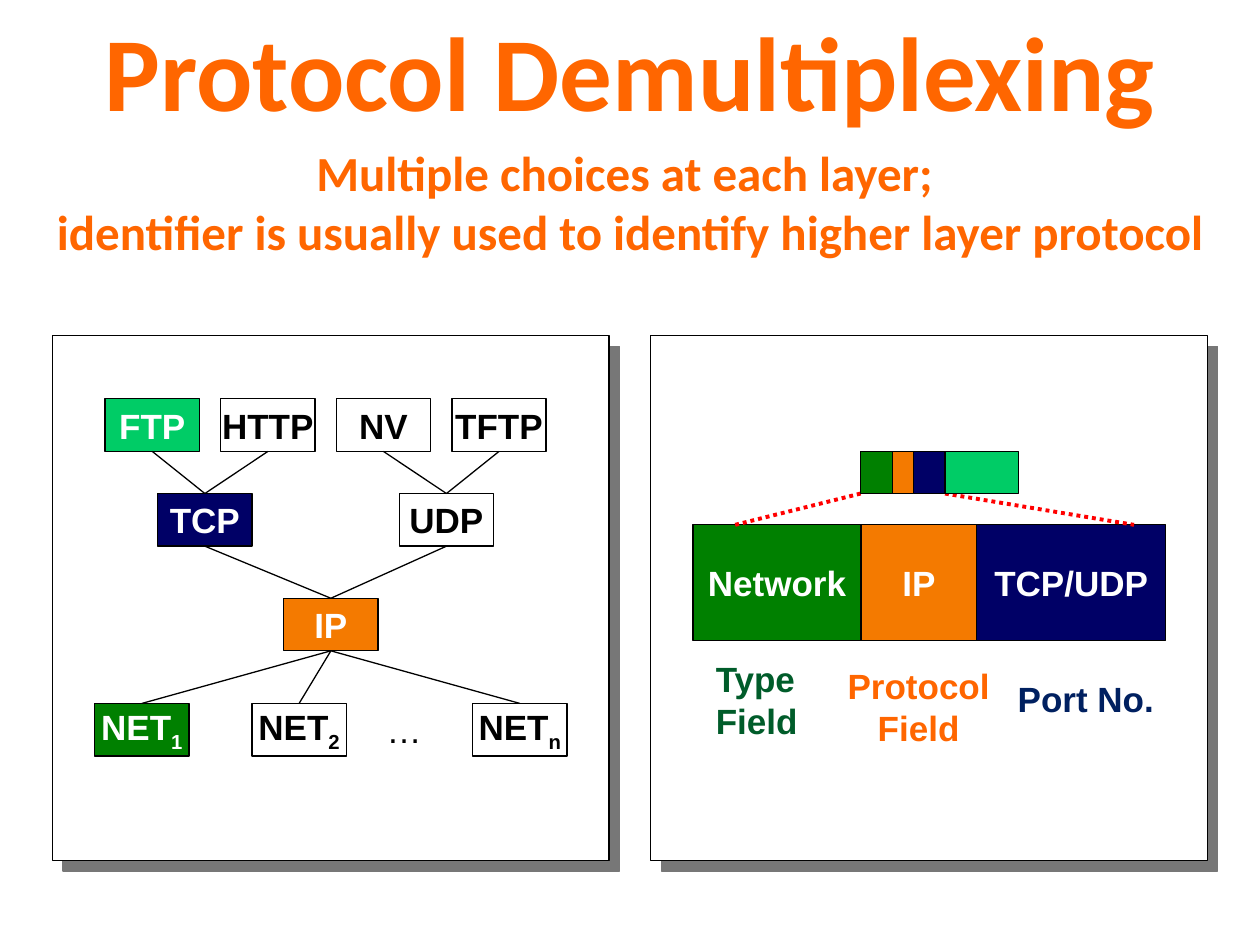
from dataclasses import dataclass

from lxml.etree import SubElement
from pptx import Presentation
from pptx.dml.color import RGBColor
from pptx.enum.dml import MSO_LINE_DASH_STYLE as Dash
from pptx.enum.shapes import MSO_CONNECTOR as Connector, MSO_SHAPE as Shape
from pptx.enum.text import MSO_ANCHOR as Anchor, PP_ALIGN as Align
from pptx.oxml.ns import qn
from pptx.util import Cm, Pt


@dataclass(frozen=True)
class Theme:
    heading_font: str = "Calibri"
    body_font: str = "Arial"
    title_size: float = 60
    subtitle_size: float = 28
    label_size: float = 20
    thin: float = 0.75
    thick: float = 2.25
    black: str = "000000"
    white: str = "FFFFFF"
    heading: str = "FF6600"
    application: str = "00CC66"
    transport: str = "000066"
    internet: str = "F47A00"
    network: str = "008000"
    type_label: str = "005C2A"
    port_label: str = "002060"
    zoom: str = "FF0000"
    shadow: str = "777777"


THEME = Theme()


@dataclass(frozen=True)
class Box:
    left: float
    top: float
    width: float
    height: float

    def inner(self, left, top, width, height):
        return Box(self.left + left, self.top + top, width, height)

    @property
    def lengths(self):
        return Cm(self.left), Cm(self.top), Cm(self.width), Cm(self.height)

    @property
    def top_center(self):
        return self.left + self.width / 2, self.top

    @property
    def bottom_center(self):
        return self.left + self.width / 2, self.top + self.height


def color(value):
    return RGBColor.from_string(value)


def add_run(paragraph, text, size, font, ink, bold=True, subscript=False):
    run = paragraph.add_run()
    run.text = text
    run.font.size, run.font.name, run.font.bold = Pt(size), font, bold
    run.font.color.rgb = color(ink)
    if subscript:
        run._r.get_or_add_rPr().set("baseline", "-25000")


def add_text(slide, box, lines, size, ink, font=THEME.body_font, align=Align.CENTER):
    frame = slide.shapes.add_textbox(*box.lengths).text_frame
    frame.word_wrap = True
    for index, line in enumerate(lines):
        paragraph = frame.add_paragraph() if index else frame.paragraphs[0]
        paragraph.alignment = align
        add_run(paragraph, line, size, font, ink)


def add_block(slide, box, fill, text="", index="", outlined=True, bold=True):
    """Add a rectangle with an optional label and subscript index."""
    block = slide.shapes.add_shape(Shape.RECTANGLE, *box.lengths)
    block.shadow.inherit = False
    block.fill.solid()
    block.fill.fore_color.rgb = color(fill)
    if outlined:
        block.line.color.rgb = color(THEME.black)
        block.line.width = Pt(THEME.thin)
    else:
        block.line.fill.background()
    if text:
        frame = block.text_frame
        frame.word_wrap = False
        frame.vertical_anchor = Anchor.MIDDLE
        paragraph = frame.paragraphs[0]
        paragraph.alignment = Align.CENTER
        ink = THEME.black if fill == THEME.white else THEME.white
        add_run(paragraph, text, THEME.label_size, THEME.body_font, ink, bold)
        if index:
            add_run(paragraph, index, THEME.label_size, THEME.body_font, ink, bold, True)
    return block


def add_line(slide, start, end, ink=THEME.black, width=THEME.thin, dash=None):
    line = slide.shapes.add_connector(Connector.STRAIGHT, *map(Cm, start + end))
    line.line.color.rgb = color(ink)
    line.line.width = Pt(width)
    if dash:
        line.line.dash_style = dash
    SubElement(line._element.spPr, qn("a:effectLst"))


def add_panel(slide, box):
    """Add a white panel with a hard shadow to its lower right."""
    panel = add_block(slide, box, THEME.white)
    effects = panel._element.spPr.find(qn("a:effectLst"))
    shadow = SubElement(effects, qn("a:outerShdw"), blurRad="0", dist=str(Pt(8.5)),
                        dir="2700000", algn="ctr", rotWithShape="0")
    SubElement(shadow, qn("a:srgbClr"), val=THEME.shadow)


def add_heading(slide, box):
    add_text(slide, box.inner(0, 0, box.width, 2.82), ["Protocol Demultiplexing"],
             THEME.title_size, THEME.heading, THEME.heading_font)
    add_text(slide, box.inner(0, 2.75, box.width, 2.65),
             ["Multiple choices at each layer; ",
              "identifier is usually used to identify higher layer protocol"],
             THEME.subtitle_size, THEME.heading, THEME.heading_font)


def add_protocol_graph(slide, panel):
    add_panel(slide, panel)
    plain = THEME.white
    applications = [("FTP", THEME.application), ("HTTP", plain), ("NV", plain), ("TFTP", plain)]
    nodes = [(1.06 + 2.33 * column, 1.27, name, "", fill)
             for column, (name, fill) in enumerate(applications)]
    nodes += [
        (2.12, 3.18, "TCP", "", THEME.transport),
        (6.99, 3.18, "UDP", "", plain),
        (4.66, 5.29, "IP", "", THEME.internet),
        (0.85, 7.41, "NET", "1", THEME.network),
        (4.02, 7.41, "NET", "2", plain),
        (8.47, 7.41, "NET", "n", plain),
    ]
    boxes = {}
    for left, top, name, index, fill in nodes:
        box = panel.inner(left, top, 1.9, 1.06)
        boxes[name + index] = box
        add_block(slide, box, fill, name, index)
    add_block(slide, panel.inner(6.14, 7.41, 1.9, 1.06), plain, "…",
              outlined=False, bold=False)

    links = {"TCP": ["FTP", "HTTP"], "UDP": ["NV", "TFTP"], "IP": ["TCP", "UDP"],
             "NET1": ["IP"], "NET2": ["IP"], "NETn": ["IP"]}
    for lower, uppers in links.items():
        for upper in uppers:
            add_line(slide, boxes[upper].bottom_center, boxes[lower].top_center)


def add_strip(slide, box, fields):
    """Fill the box from left to right with (width, fill, text) fields."""
    left = 0
    for width, fill, text in fields:
        add_block(slide, box.inner(left, 0, width, box.height), fill, text)
        left += width


def add_packet_headers(slide, panel):
    add_panel(slide, panel)
    packet = panel.inner(4.23, 2.33, 3.18, 0.85)
    headers = panel.inner(0.85, 3.81, 9.53, 2.33)
    add_strip(slide, headers, [(3.39, THEME.network, "Network"),
                               (2.33, THEME.internet, "IP"),
                               (3.81, THEME.transport, "TCP/UDP")])
    packet_bottom = packet.top + packet.height
    for start, end in [(0, 0.85), (1.7, 8.89)]:
        add_line(slide, (packet.left + start, packet_bottom),
                 (headers.left + end, headers.top), THEME.zoom, THEME.thick, Dash.ROUND_DOT)
    add_strip(slide, packet, [(0.64, THEME.network, ""), (0.42, THEME.internet, ""),
                              (0.64, THEME.transport, ""), (1.48, THEME.application, "")])

    labels = [
        ("Type Field", 1.06, 6.35, 2.96, 1.96, THEME.type_label, Align.LEFT),
        ("Protocol Field", 3.39, 6.51, 4.02, 1.96, THEME.heading, Align.CENTER),
        ("Port No.", 6.74, 6.77, 4.06, 1.12, THEME.port_label, Align.CENTER),
    ]
    for text, left, top, width, height, ink, align in labels:
        add_text(slide, panel.inner(left, top, width, height), [text],
                 THEME.label_size, ink, align=align)


def main():
    presentation = Presentation()
    presentation.slide_width, presentation.slide_height = Cm(25.4), Cm(19.05)
    slide = presentation.slides.add_slide(presentation.slide_layouts[6])
    add_heading(slide, Box(0, 0, 25.4, 5.4))
    add_protocol_graph(slide, Box(1.06, 6.77, 11.22, 10.58))
    add_packet_headers(slide, Box(13.12, 6.77, 11.22, 10.58))
    presentation.save("out.pptx")


if __name__ == "__main__":
    main()
